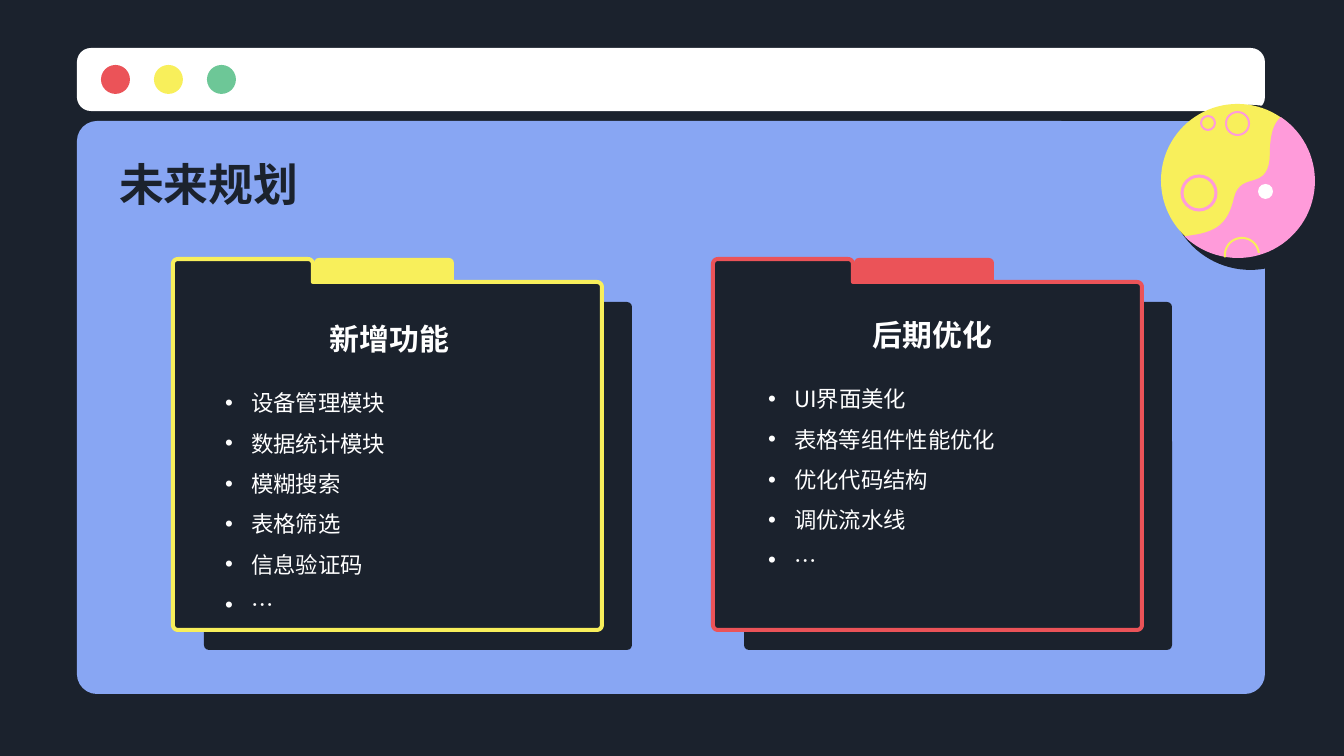
import math

import pptx
import pptx.dml.color
import pptx.enum.shapes
import pptx.enum.text
import pptx.oxml
import pptx.oxml.ns
import pptx.util

RGB = pptx.dml.color.RGBColor
MSO = pptx.enum.shapes.MSO_SHAPE
ANCHOR = pptx.enum.text.MSO_ANCHOR
ALIGN = pptx.enum.text.PP_ALIGN
NO_FIT = pptx.enum.text.MSO_AUTO_SIZE.NONE

DARK = RGB(0x1B, 0x22, 0x2D)
BLUE = RGB(0x88, 0xA6, 0xF3)
WHITE = RGB(0xFF, 0xFF, 0xFF)
RED = RGB(0xEB, 0x53, 0x58)
YELLOW = RGB(0xF8, 0xEF, 0x5B)
GREEN = RGB(0x6D, 0xC7, 0x97)
PINK = RGB(0xFF, 0x9B, 0xDA)

FONT = "Noto Sans CJK SC"
EMU_PER_PX = 914400 / 134.4


def px(n):
    return pptx.util.Emu(round(n * EMU_PER_PX))


def arc(cx, cy, radius, start, end, steps=48):
    """Points on a circle between two angles in degrees, clockwise."""
    angles = [math.radians(start + (end - start) * i / steps) for i in range(steps + 1)]
    return [(cx + radius * math.cos(a), cy + radius * math.sin(a)) for a in angles]


def bezier(p0, p1, p2, p3, steps=16):
    """Points on a cubic curve, without its start."""
    points = []
    for i in range(1, steps + 1):
        t = i / steps
        weights = ((1 - t) ** 3, 3 * t * (1 - t) ** 2, 3 * t * t * (1 - t), t ** 3)
        points.append(tuple(sum(w * p[k] for w, p in zip(weights, (p0, p1, p2, p3)))
                            for k in (0, 1)))
    return points


class Deck:
    def __init__(self, prs, slide):
        self.slide = slide
        self.shapes = slide.shapes
        slide.background.fill.solid()
        slide.background.fill.fore_color.rgb = DARK

    def paint(self, sp, fill, line, width):
        sp.shadow.inherit = False
        if fill is None:
            sp.fill.background()
        else:
            sp.fill.solid()
            sp.fill.fore_color.rgb = fill
        if line is None:
            sp.line.fill.background()
        else:
            sp.line.color.rgb = line
            sp.line.width = px(width)

    def round_rect(self, x, y, w, h, radius, fill):
        sp = self.shapes.add_shape(MSO.ROUNDED_RECTANGLE, px(x), px(y), px(w), px(h))
        sp.adjustments[0] = radius / min(w, h)
        self.paint(sp, fill, None, 0)

    def circle(self, x, y, d, fill=None, line=None, width=0):
        sp = self.shapes.add_shape(MSO.OVAL, px(x), px(y), px(d), px(d))
        self.paint(sp, fill, line, width)

    def outline(self, points, fill=None, line=None, width=0, close=True):
        points = [(px(x), px(y)) for x, y in points]
        builder = self.shapes.build_freeform(*points[0], scale=1.0)
        builder.add_line_segments(points[1:], close=close)
        self.paint(builder.convert_to_shape(), fill, line, width)

    def folder(self, x, y, accent):
        self.round_rect(x + 31, y + 43, 428, 348, 5, DARK)    # shadow
        self.round_rect(x + 141, y - 1, 140, 44, 5, accent)   # back tab
        left, top, right, bottom, tab, step, r = x, y, x + 429, y + 371, x + 140, y + 23, 5
        front = (arc(left + r, top + r, r, 180, 270, 6)
                 + arc(tab - r, top + r, r, 270, 360, 6)
                 + [(tab, step)]
                 + arc(right - r, step + r, r, 270, 360, 6)
                 + arc(right - r, bottom - r, r, 0, 90, 6)
                 + arc(left + r, bottom - r, r, 90, 180, 6))
        self.outline(front, DARK, accent, 4)

    def text(self, idx, x, y, w, h, lines, size, color, bold=False,
             align=ALIGN.LEFT, anchor=ANCHOR.MIDDLE, bullets=False):
        sp = self.slide.placeholders[idx]
        self.shapes._spTree.append(sp._element)  # bring in front of the drawing
        sp.left, sp.top, sp.width, sp.height = px(x), px(y), px(w), px(h)
        tf = sp.text_frame
        tf.word_wrap, tf.auto_size, tf.vertical_anchor = True, NO_FIT, anchor
        tf.margin_left = tf.margin_right = tf.margin_top = tf.margin_bottom = px(13)
        for i, line in enumerate(lines):
            p = tf.add_paragraph() if i else tf.paragraphs[0]
            p.alignment = align
            p.space_before = p.space_after = pptx.util.Pt(0)
            p.line_spacing = 1.5 if bullets else 1.0
            if bullets:
                self.bullet(p)
            r = p.add_run()
            r.text = line
            r.font.size, r.font.bold, r.font.name = pptx.util.Pt(size), bold, FONT
            r.font.color.rgb = color
            ea = pptx.oxml.parse_xml(
                f'<a:ea {pptx.oxml.ns.nsdecls("a")} typeface="{FONT}"/>')
            r.font._element.find(pptx.oxml.ns.qn("a:latin")).addnext(ea)

    def bullet(self, p):
        pPr = p._p.get_or_add_pPr()
        pPr.set("marL", str(px(26)))
        pPr.set("indent", str(-px(26)))
        ns = pptx.oxml.ns.nsdecls("a")
        pPr.append(pptx.oxml.parse_xml(
            f'<a:buClr {ns}><a:srgbClr val="{WHITE}"/></a:buClr>'))
        pPr.append(pptx.oxml.parse_xml(f'<a:buChar {ns} char="•"/>'))


def main():
    prs = pptx.Presentation()
    prs.slide_width, prs.slide_height = px(1344), px(756)
    s = Deck(prs, prs.slides.add_slide(prs.slide_layouts.get_by_name("Comparison")))

    # Browser window
    s.round_rect(77, 121, 1188, 573, 20, BLUE)
    s.round_rect(77, 48, 1188, 63, 14, WHITE)
    for i, color in enumerate((RED, YELLOW, GREEN)):
        s.circle(101 + 53 * i, 65, 29, color)

    # Moon: shade, disc, craters, pink side
    s.circle(1168, 105, 165, DARK)
    s.circle(1161, 104, 153, YELLOW)
    for x, y, d, width in ((1182, 176, 34, 3), (1226, 112, 23, 2), (1201, 116, 14, 2)):
        s.circle(x, y, d, line=PINK, width=width)
    s.outline(arc(1238, 181, 77, -56, 134)
              + bezier((1185, 236), (1218, 233), (1228, 223), (1234, 198))
              + bezier((1234, 198), (1241, 169), (1270, 194), (1270, 152))
              + bezier((1270, 152), (1270, 132), (1275, 122), (1281, 117)), PINK)
    s.outline(arc(1242, 255, 17, 172, 353), line=YELLOW, width=2, close=False)
    s.circle(1258, 184, 15, WHITE)

    # Title
    s.text(0, 106, 142, 1133, 84, ["未来规划"], 24, DARK, bold=True)

    # Folders: heading and list placeholders, folder place, text place
    folders = (
        (1, 2, 173, 212, 300, YELLOW, "新增功能",
         ["设备管理模块", "数据统计模块", "模糊搜索", "表格筛选", "信息验证码", "…"]),
        (3, 4, 713, 755, 296, RED, "后期优化",
         ["UI界面美化", "表格等组件性能优化", "优化代码结构", "调优流水线", "…"]),
    )
    for head_idx, list_idx, x, text_x, text_y, accent, heading, items in folders:
        s.folder(x, 259, accent)
        s.text(list_idx, text_x, text_y + 63, 356, 250, items, 12, WHITE,
               anchor=ANCHOR.TOP, bullets=True)
        s.text(head_idx, text_x, text_y, 355, 78, [heading], 16, WHITE,
               bold=True, align=ALIGN.CENTER)

    prs.save("out.pptx")


if __name__ == "__main__":
    main()
